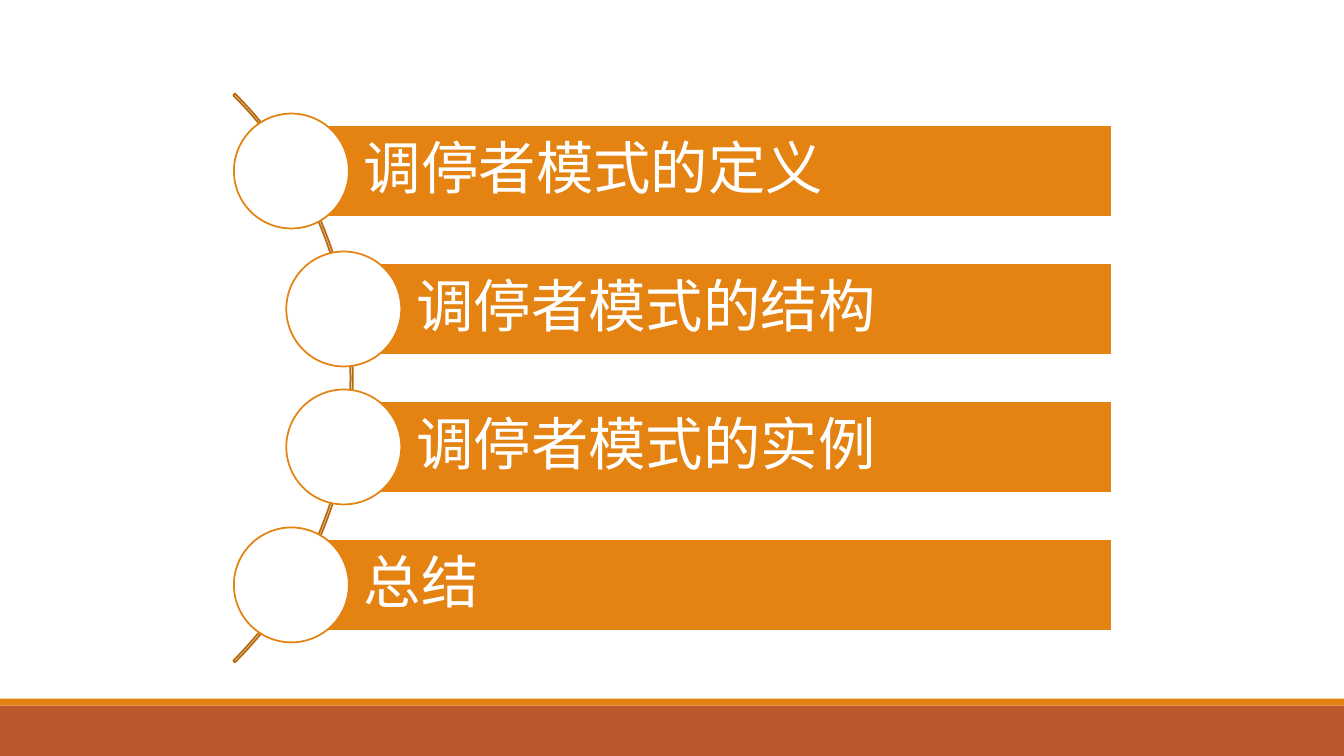
from pptx import Presentation
from pptx.dml.color import RGBColor
from pptx.enum.shapes import MSO_SHAPE
from pptx.enum.text import MSO_ANCHOR, PP_ALIGN
from pptx.util import Inches, Pt

COLORS = {"orange": "E48312", "rust": "BD582C", "arc": "B7690E", "white": "FFFFFF"}
WIDTH, HEIGHT = Inches(13.33), Inches(7.5)
TOPICS = [
    ("调停者模式的定义", 21.68),
    ("调停者模式的结构", 25.58),
    ("调停者模式的实例", 25.58),
    ("总结", 21.68),
]
MIDDLE, PITCH = 50, 18.25
BAR_RIGHT, BAR_HEIGHT = 82.7, 12.13
CIRCLE, ARC, ARC_CENTER = 15.2, 106.4, -3.68


def across(percent):
    return round(WIDTH * percent / 100)


def down(percent):
    return round(HEIGHT * percent / 100)


def color(name):
    return RGBColor.from_string(COLORS[name])


def add_shape(s, kind, box, fill=None, line=None):
    sp = s.shapes.add_shape(kind, *box)
    sp.shadow.inherit = False
    if fill:
        sp.fill.solid()
        sp.fill.fore_color.rgb = color(fill)
    else:
        sp.fill.background()
    if line:
        sp.line.color.rgb = color(line)
        sp.line.width = Pt(1.25)
    else:
        sp.line.fill.background()
    return sp


def add_round(s, kind, center_x, center_y, size, fill, line):
    d = down(size)
    box = across(center_x) - d // 2, down(center_y) - d // 2, d, d
    return add_shape(s, kind, box, fill, line)


def add_bar(s, text, left, center_y):
    box = (across(left), down(center_y - BAR_HEIGHT / 2),
           across(BAR_RIGHT - left), down(BAR_HEIGHT))
    tf = add_shape(s, MSO_SHAPE.RECTANGLE, box, "orange", "white").text_frame
    tf.word_wrap = True
    tf.vertical_anchor = MSO_ANCHOR.MIDDLE
    tf.margin_left = across(5.4)
    tf.margin_top = tf.margin_right = tf.margin_bottom = down(1.5)
    p = tf.paragraphs[0]
    p.text = text
    p.alignment = PP_ALIGN.LEFT
    p.line_spacing = 0.9
    p.font.name = "Calibri"
    p.font.size = Pt(41)
    p.font.color.rgb = color("white")


def add_footer(s):
    for top, height, fill in ((93.33, 6.67, "rust"), (92.4, 0.93, "orange")):
        add_shape(s, MSO_SHAPE.RECTANGLE, (0, down(top), WIDTH, down(height)), fill)


def add_arc(s):
    arc = add_round(s, MSO_SHAPE.BLOCK_ARC, ARC_CENTER, MIDDLE, ARC, None, "arc")
    for i, value in enumerate((189, 27, 0.003)):
        arc.adjustments[i] = value


def main():
    prs = Presentation()
    prs.slide_width, prs.slide_height = WIDTH, HEIGHT
    s = prs.slides.add_slide(prs.slide_layouts[6])
    add_footer(s)
    add_arc(s)
    for i, (text, left) in enumerate(TOPICS):
        center_y = MIDDLE + (i - (len(TOPICS) - 1) / 2) * PITCH
        add_bar(s, text, left, center_y)
        add_round(s, MSO_SHAPE.OVAL, left, center_y, CIRCLE, "white", "orange")
    prs.save("out.pptx")


if __name__ == "__main__":
    main()
